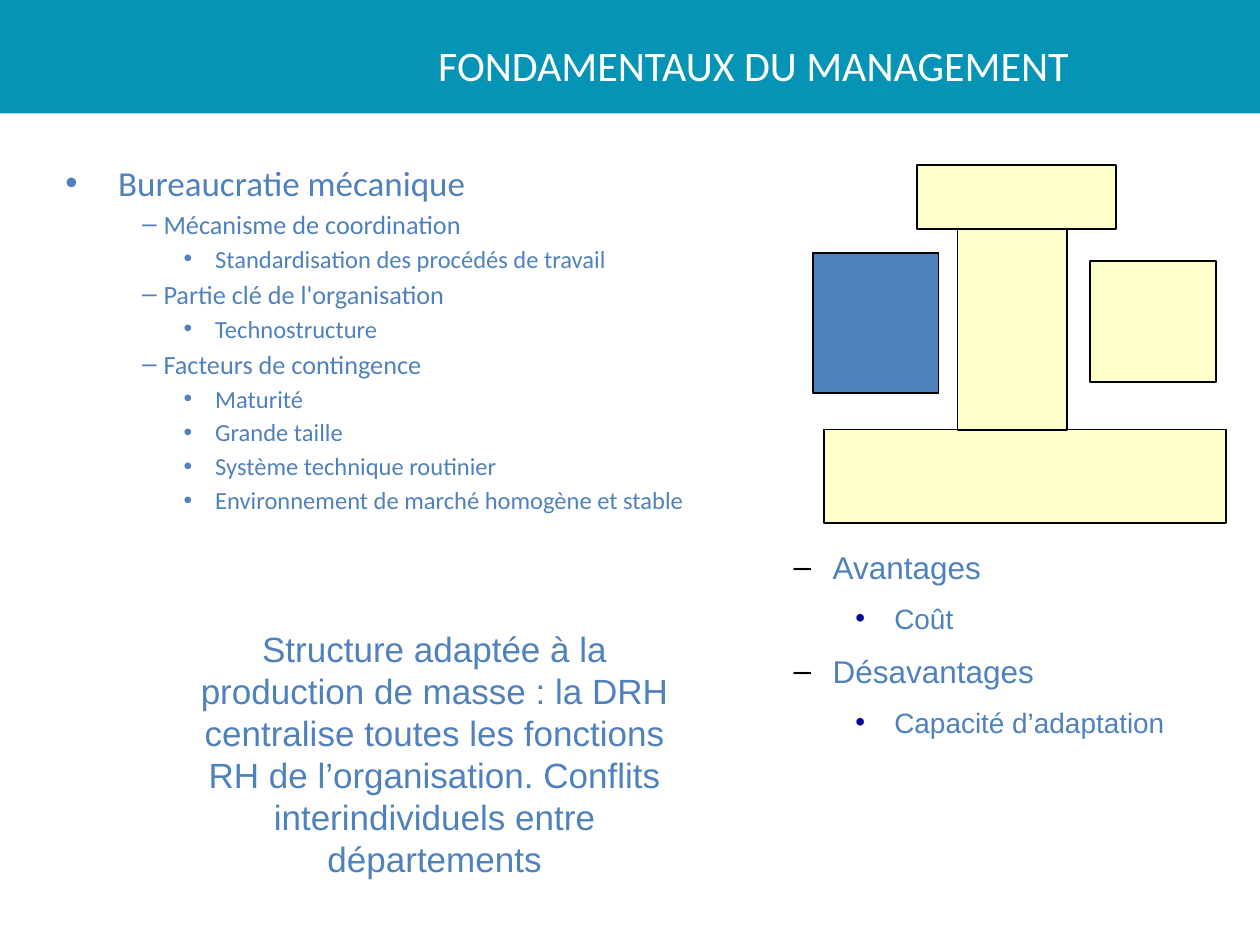
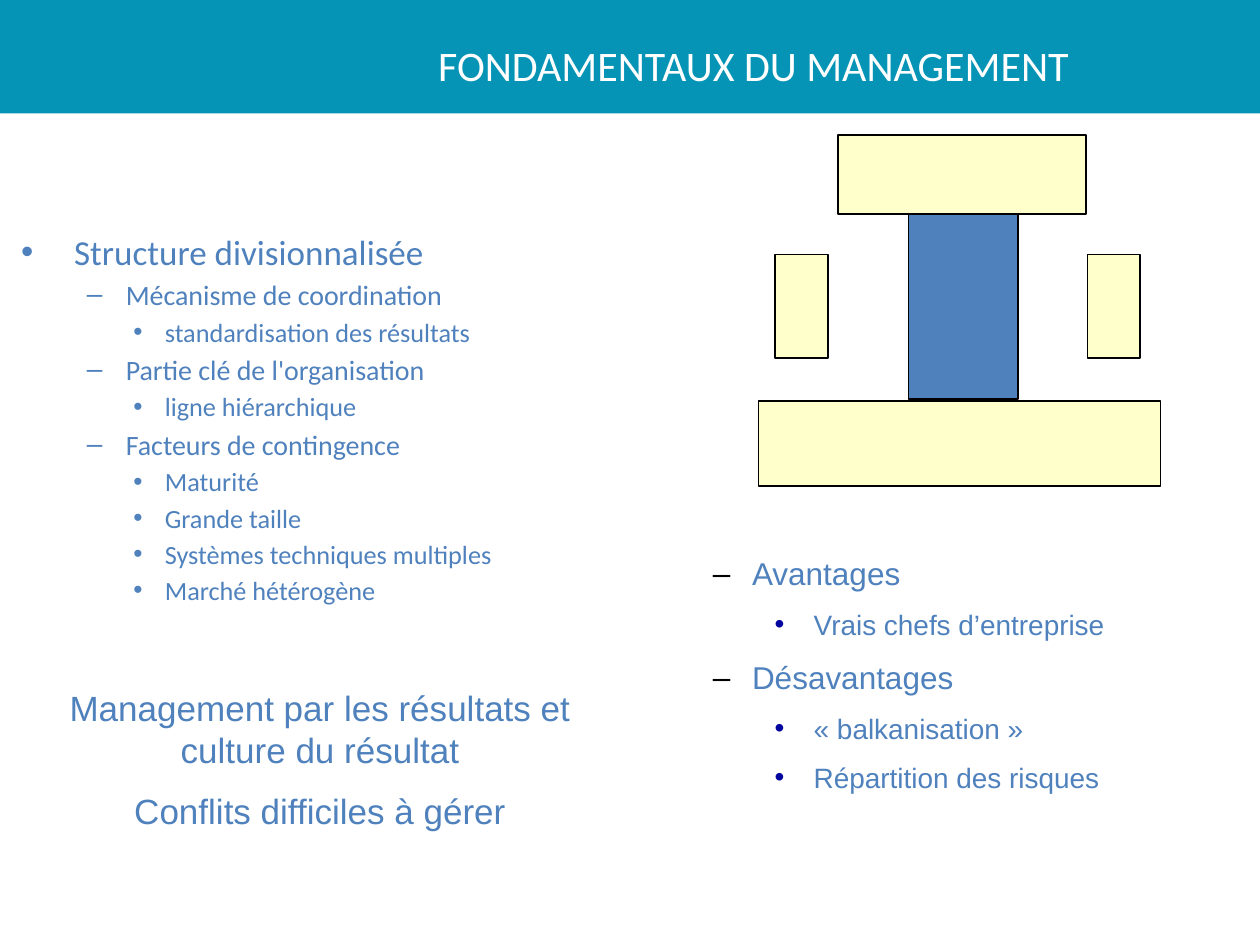
import lxml.etree
import pptx
import pptx.dml.color
import pptx.enum.shapes
import pptx.enum.text
import pptx.oxml.ns
import pptx.util
from dataclasses import dataclass

Inches = pptx.util.Inches


@dataclass(frozen=True)
class Theme:
    band: str = "0594B6"
    white: str = "FFFFFF"
    blue: str = "4F81BD"
    cream: str = "FFFFCC"
    black: str = "000000"
    navy: str = "03059F"
    heading_font: str = "Calibri"
    note_font: str = "Arial"
    title_size: int = 24
    message_size: int = 20
    body_gap: float = 0.18
    note_gap: float = 0.55


T = Theme()
rgb = pptx.dml.color.RGBColor.from_string


def add_rect(shapes, box, fill, line=None):
    sp = shapes.add_shape(pptx.enum.shapes.MSO_SHAPE.RECTANGLE, *map(Inches, box))
    sp.shadow.inherit = False
    sp.fill.solid()
    sp.fill.fore_color.rgb = rgb(fill)
    if line:
        sp.line.color.rgb = rgb(line)
        sp.line.width = pptx.util.Pt(1)
    else:
        sp.line.fill.background()


def add_text(s, box, items, styles, font, color, gap=0, centred=False):
    tf = s.shapes.add_textbox(*map(Inches, box)).text_frame
    tf.word_wrap = True
    for i, (level, text) in enumerate(items):
        size, bullet = styles[level]
        p = tf.paragraphs[0] if i == 0 else tf.add_paragraph()
        p.level = level
        if bullet:
            char, margin, indent, bullet_color = bullet
            pPr = p._p.get_or_add_pPr()
            pPr.set("marL", str(Inches(margin)))
            pPr.set("indent", str(Inches(indent)))
            qn = pptx.oxml.ns.qn
            clr = lxml.etree.SubElement(pPr, qn("a:buClr"))
            lxml.etree.SubElement(clr, qn("a:srgbClr")).set("val", bullet_color)
            lxml.etree.SubElement(pPr, qn("a:buFont")).set("typeface", "Arial")
            lxml.etree.SubElement(pPr, qn("a:buChar")).set("char", char)
        if centred:
            p.alignment = pptx.enum.text.PP_ALIGN.CENTER
        if i:
            p.space_before = pptx.util.Pt(round(size * gap, 1))
        r = p.add_run()
        r.text = text
        r.font.size = pptx.util.Pt(size)
        r.font.name = font
        r.font.color.rgb = rgb(color)
    return tf


title_style = [(T.title_size, None)]
message_style = [(T.message_size, None)]
heading_style = (20, ("•", 0.49, -0.42, T.blue))
note_styles = [
    None,
    (18, ("–", 0.57, -0.31, T.black)),
    (16, ("•", 1.06, -0.31, T.navy)),
]

structures = [
    {
        "body_box": (0.35, 1.23, 8.46, 5.26),
        "body_styles": [
            heading_style,
            (15, ("–", 0.85, -0.17, T.blue)),
            (14, ("•", 1.26, -0.25, T.blue)),
        ],
        "body": [
            (0, "Bureaucratie mécanique"),
            (1, "Mécanisme de coordination"),
            (2, "Standardisation des procédés de travail"),
            (1, "Partie clé de l'organisation"),
            (2, "Technostructure"),
            (1, "Facteurs de contingence"),
            (2, "Maturité"),
            (2, "Grande taille"),
            (2, "Système technique routinier"),
            (2, "Environnement de marché homogène et stable"),
        ],
        "diagram": [
            ((6.54, 3.41, 3.19, 0.74), T.cream),
            ((7.6, 1.82, 0.87, 1.59), T.cream),
            ((7.28, 1.31, 1.58, 0.51), T.cream),
            ((8.65, 2.07, 1, 0.96), T.cream),
            ((6.45, 2.01, 1, 1.11), T.blue),
        ],
        "notes_box": (5.94, 4.3, 3.94, 1.65),
        "notes": [
            (1, "Avantages"),
            (2, "Coût"),
            (1, "Désavantages"),
            (2, "Capacité d’adaptation"),
        ],
        "message_box": (1.3, 4.93, 4.3, 2.12),
        "message": [
            (0, "Structure adaptée à la production de masse : la DRH centralise "
                "toutes les fonctions RH de l’organisation. Conflits "
                "interindividuels entre départements"),
        ],
    },
    {
        "body_box": (0, 1.78, 4.35, 4.02),
        "body_styles": [
            heading_style,
            (16, ("–", 0.9, -0.31, T.blue)),
            (15, ("•", 1.21, -0.25, T.blue)),
        ],
        "body": [
            (0, "Structure divisionnalisée"),
            (1, "Mécanisme de coordination"),
            (2, "standardisation des résultats"),
            (1, "Partie clé de l'organisation"),
            (2, "ligne hiérarchique"),
            (1, "Facteurs de contingence"),
            (2, "Maturité"),
            (2, "Grande taille"),
            (2, "Systèmes techniques multiples"),
            (2, "Marché hétérogène"),
        ],
        "diagram": [
            ((6.02, 3.18, 3.19, 0.68), T.cream),
            ((7.21, 1.7, 0.87, 1.47), T.blue),
            ((6.65, 1.07, 1.97, 0.63), T.cream),
            ((8.63, 2.02, 0.42, 0.82), T.cream),
            ((6.15, 2.02, 0.42, 0.82), T.cream),
        ],
        "notes_box": (5.3, 4.35, 4.28, 2.06),
        "notes": [
            (1, "Avantages"),
            (2, "Vrais chefs d’entreprise"),
            (1, "Désavantages"),
            (2, "« balkanisation »"),
            (2, "Répartition des risques"),
        ],
        "message_box": (0.43, 5.4, 4.22, 1.28),
        "message": [
            (0, "Management par les résultats et culture du résultat"),
            (0, "Conflits difficiles à gérer"),
        ],
    },
]

prs = pptx.Presentation()
prs.slide_width = Inches(10)
prs.slide_height = Inches(7.5)

for structure in structures:
    s = prs.slides.add_slide(prs.slide_layouts[6])
    add_rect(s.shapes, (0, 0, 10, 0.9), T.band)
    tf = add_text(s, (2.95, 0.13, 6.06, 0.76), [(0, "FONDAMENTAUX DU MANAGEMENT")],
                  title_style, T.heading_font, T.white, centred=True)
    tf.vertical_anchor = pptx.enum.text.MSO_ANCHOR.MIDDLE

    add_text(s, structure["body_box"], structure["body"], structure["body_styles"],
             T.heading_font, T.blue, T.body_gap)

    diagram = s.shapes.add_group_shape()
    for box, fill in structure["diagram"]:
        add_rect(diagram.shapes, box, fill, T.black)

    add_text(s, structure["notes_box"], structure["notes"], note_styles,
             T.note_font, T.blue, T.note_gap)
    add_text(s, structure["message_box"], structure["message"], message_style,
             T.note_font, T.blue, T.note_gap, centred=True)

prs.save("out.pptx")
